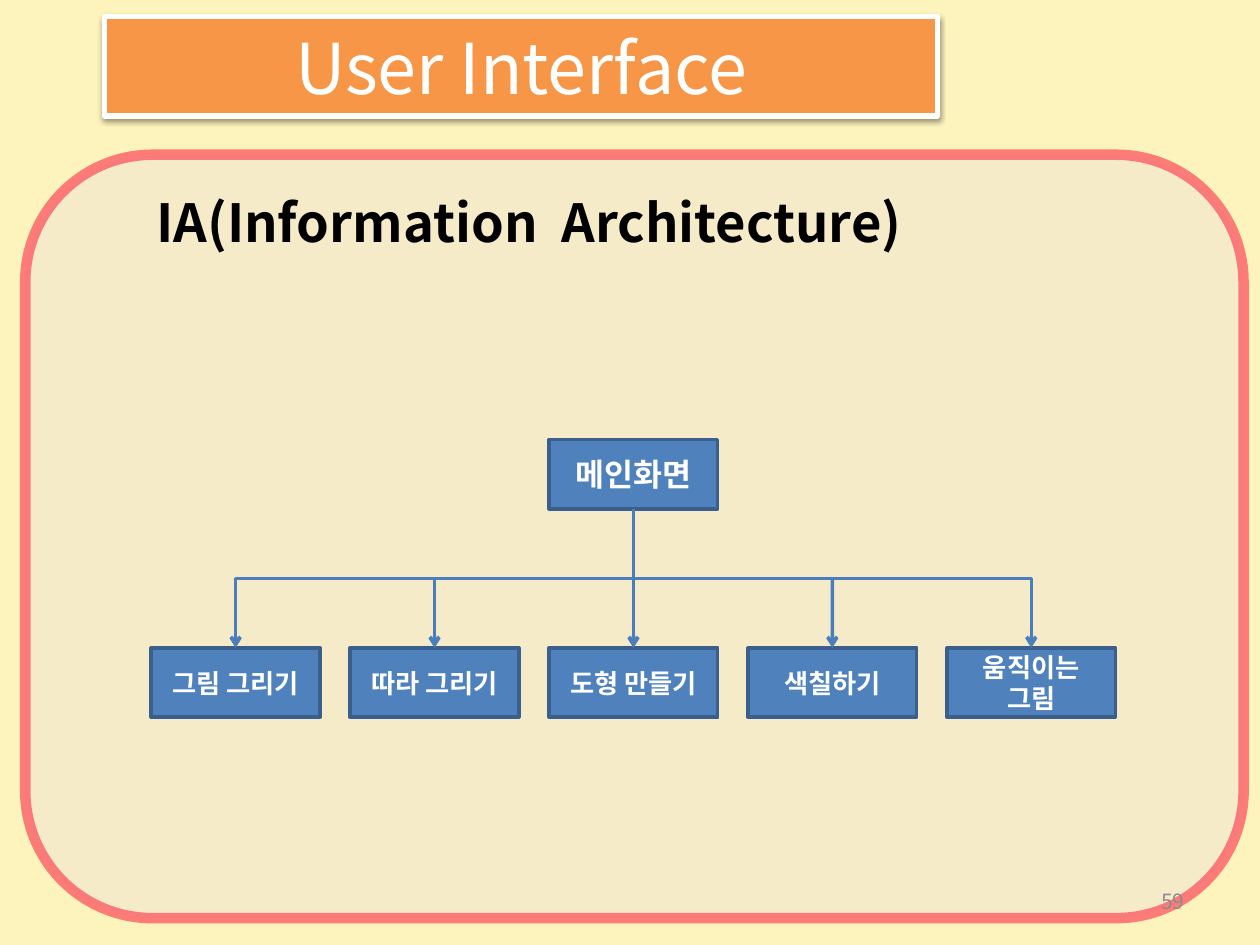
from lxml.etree import SubElement
from pptx import Presentation
from pptx.dml.color import RGBColor
from pptx.enum.shapes import MSO_CONNECTOR as Link, MSO_SHAPE as Shape
from pptx.enum.text import MSO_ANCHOR as Anchor, MSO_AUTO_SIZE as AutoSize, PP_ALIGN as Align
from pptx.oxml import parse_xml
from pptx.oxml.ns import nsdecls, qn
from pptx.util import Cm, Pt

FONT = "Noto Sans CJK KR"
rgb = RGBColor.from_string


def paint(shape, fill, line, width):
    shape.fill.solid()
    shape.fill.fore_color.rgb = rgb(fill)
    shape.line.color.rgb = rgb(line)
    shape.line.width = Pt(width)


def write(shape, text, size, color, bold=False, align=Align.CENTER, anchor=Anchor.MIDDLE):
    frame = shape.text_frame
    frame.text = text
    frame.word_wrap = True
    frame.auto_size = AutoSize.NONE
    frame.vertical_anchor = anchor
    for paragraph in frame.paragraphs:
        paragraph.alignment = align
        for run in paragraph.runs:
            run.font.name = FONT
            run.font.size = Pt(size)
            run.font.bold = bold
            run.font.color.rgb = rgb(color)
            SubElement(run.font._element, qn("a:ea"), typeface=FONT)


presentation = Presentation()
presentation.slide_width, presentation.slide_height = Cm(25.4), Cm(19.05)
slide = presentation.slides.add_slide(presentation.slide_layouts[5])
slide.background.fill.solid()
slide.background.fill.fore_color.rgb = rgb("FCF4BC")
shapes = slide.shapes

title = shapes.title
title.left, title.top, title.width, title.height = Cm(2.11), Cm(0.33), Cm(16.79), Cm(2.01)
title._element.spPr.append(parse_xml(
    f'<a:prstGeom {nsdecls("a")} prst="roundRect"><a:avLst/></a:prstGeom>'))
paint(title, "F79646", "FFFFFF", 3)
title._element.spPr.append(parse_xml(
    f'<a:effectLst {nsdecls("a")}>'
    '<a:outerShdw blurRad="39400" dist="20300" dir="5400000" rotWithShape="0">'
    '<a:srgbClr val="000000"><a:alpha val="38000"/></a:srgbClr>'
    '</a:outerShdw></a:effectLst>'))
write(title, "User Interface", 40, "FFFFFF")

panel = shapes.add_shape(Shape.ROUNDED_RECTANGLE, Cm(0.51), Cm(3.12), Cm(24.56), Cm(15.39))
panel.shadow.inherit = False
paint(panel, "F2E5D4", "FF1C3D", 6)
for color in panel._element.spPr.iter(qn("a:srgbClr")):
    SubElement(color, qn("a:alpha"), val="54000")

page_number = shapes.add_textbox(Cm(18.21), Cm(17.65), Cm(5.92), Cm(1.02))
write(page_number, "59", 12, "8C8C8C", align=Align.RIGHT)
heading = shapes.add_textbox(Cm(2.9), Cm(3.71), Cm(18.85), Cm(1.55))
write(heading, "IA(Information  Architecture)", 30, "000000", True, Align.LEFT, Anchor.TOP)

box_width, box_height = 3.4, 1.4
first_left, step = 3.05, 4.01
root_top, menu_top = 8.86, 13.06
root_bottom = root_top + box_height
bus_y = (root_bottom + menu_top) / 2
menus = ["그림 그리기", "따라 그리기", "도형 만들기", "색칠하기", "움직이는\n그림"]
nodes = [("메인화면", 2, root_top, 18)]
nodes += [(menu, column, menu_top, 15) for column, menu in enumerate(menus)]
boxes = []
for text, column, top, size in nodes:
    box = shapes.add_shape(Shape.RECTANGLE, Cm(first_left + step * column), Cm(top),
                           Cm(box_width), Cm(box_height))
    box.shadow.inherit = False
    paint(box, "4F81BD", "3A5F8C", 2)
    write(box, text, size, "FFFFFF", True)
    boxes.append(box)

centers = [first_left + box_width / 2 + step * column for column in range(len(menus))]
drop, reach = menu_top - root_bottom, step * 2
left_elbow = shapes.add_connector(
    Link.ELBOW, Cm(centers[1] - drop / 2), Cm(bus_y - reach / 2),
    Cm(centers[1] + drop / 2), Cm(bus_y + reach / 2))
left_elbow._element.spPr.find(qn("a:xfrm")).set("rot", "5400000")
right_elbow = shapes.add_connector(
    Link.ELBOW, Cm(centers[2]), Cm(bus_y), Cm(centers[4]), Cm(menu_top))
right_elbow._element.spPr.find(qn("a:prstGeom")).set("prst", "bentConnector2")

connectors = [left_elbow, right_elbow]
for column in (1, 2, 3):
    branch = shapes.add_connector(
        Link.STRAIGHT, Cm(centers[column]), Cm(bus_y), Cm(centers[column]), Cm(menu_top))
    branch.end_connect(boxes[column + 1], 0)
    connectors.append(branch)

for connector in connectors:
    connector.line.color.rgb = rgb("4B7EBC")
    connector.line.width = Pt(2)
    SubElement(connector.line._get_or_add_ln(), qn("a:tailEnd"), type="arrow")
    SubElement(connector._element.spPr, qn("a:effectLst"))

presentation.save("out.pptx")
